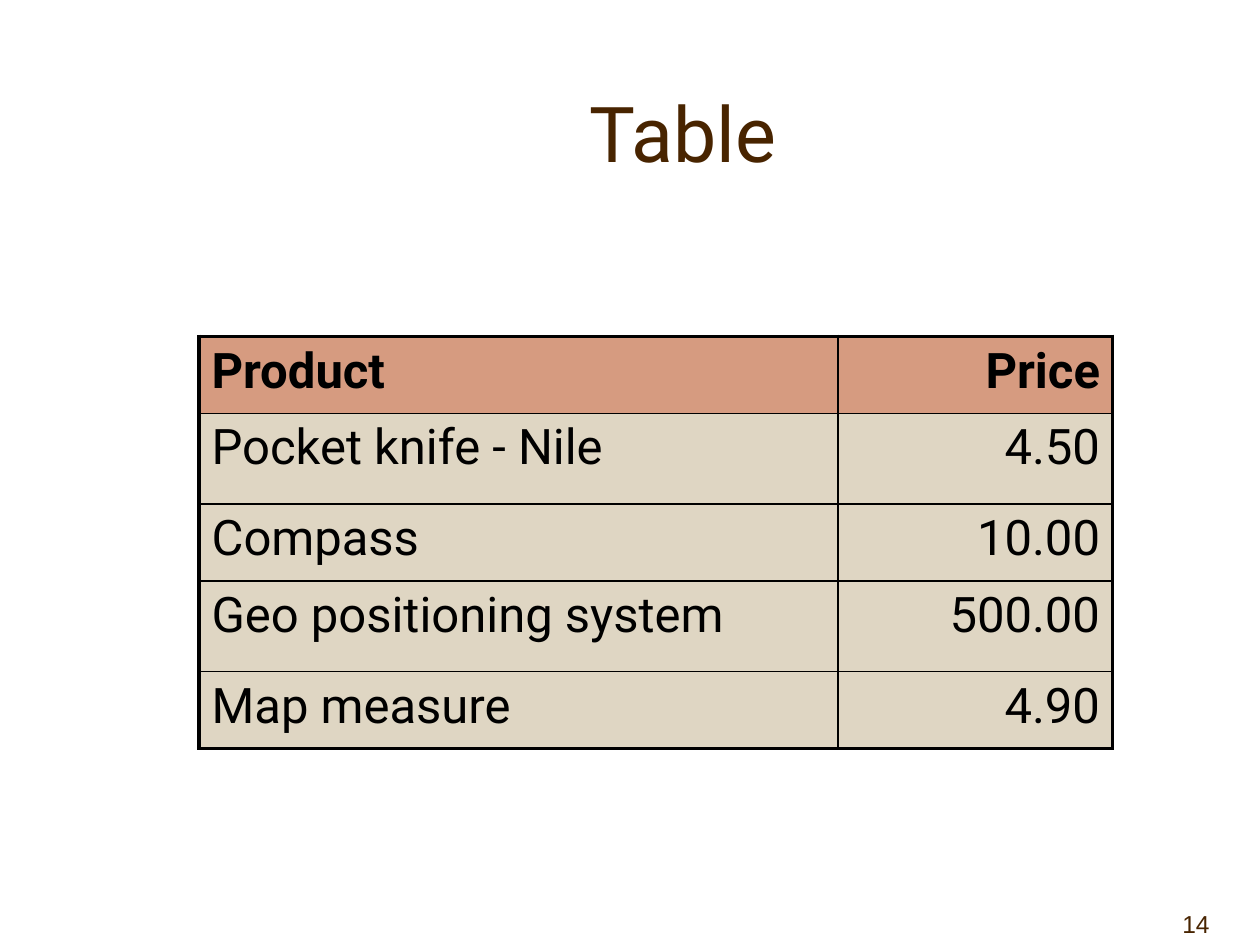
from pptx import Presentation
from pptx.dml.color import RGBColor
from pptx.enum.text import MSO_ANCHOR, PP_ALIGN
from pptx.oxml.ns import qn
from pptx.util import Inches, Pt
from lxml.etree import SubElement

COLORS = {
    "brown": "482400",
    "black": "000000",
    "header": "D69B80",
    "body": "DFD6C3",
}
PRODUCTS = [
    ("Product", "Price"),
    ("Pocket knife - Nile", "4.50"),
    ("Compass", "10.00"),
    ("Geo positioning system", "500.00"),
    ("Map measure", "4.90"),
]
COLUMN_WIDTHS = [5.07, 2.18]
ROW_HEIGHTS = [0.61, 0.72, 0.61, 0.72, 0.61]
THIN, THICK = 1, 2.25


def color(name):
    """Return the named palette colour."""
    return RGBColor.from_string(COLORS[name])


def write(tf, text, size, font, color_name, align, bold=False):
    """Put one formatted run in the first paragraph of a text frame."""
    p = tf.paragraphs[0]
    p.alignment = align
    r = p.add_run()
    r.text = text
    r.font.size = Pt(size)
    r.font.name = font
    r.font.bold = bold
    r.font.color.rgb = color(color_name)


def set_borders(cell, widths):
    """Draw the cell borders, given widths in points by side."""
    tcPr = cell._tc.get_or_add_tcPr()
    for side, width in widths.items():
        line = SubElement(tcPr, qn(f"a:ln{side}"), w=str(Pt(width)))
        fill = SubElement(line, qn("a:solidFill"))
        SubElement(fill, qn("a:srgbClr"), val=COLORS["black"])


def add_title(s, left, top, width, height):
    """Place and format the slide title."""
    sp = s.shapes.title
    sp.left, sp.top, sp.width, sp.height = map(Inches, (left, top, width, height))
    tf = sp.text_frame
    tf.word_wrap = True
    tf.vertical_anchor = MSO_ANCHOR.MIDDLE
    write(tf, "Table", 44, "Roboto", "brown", PP_ALIGN.CENTER)


def add_price_table(s, left, top, width, height):
    """Build the product price table with a heavy outer frame."""
    rows, cols = len(PRODUCTS), len(COLUMN_WIDTHS)
    box = map(Inches, (left, top, width, height))
    table = s.shapes.add_table(rows, cols, *box).table
    table.horz_banding = False
    for column, column_width in zip(table.columns, COLUMN_WIDTHS):
        column.width = Inches(column_width)
    for row, row_height in zip(table.rows, ROW_HEIGHTS):
        row.height = Inches(row_height)
    for i, values in enumerate(PRODUCTS):
        for j, text in enumerate(values):
            cell = table.cell(i, j)
            set_borders(cell, {
                "L": THICK if j == 0 else THIN,
                "R": THICK if j == cols - 1 else THIN,
                "T": THICK if i == 0 else THIN,
                "B": THICK if i == rows - 1 else THIN,
            })
            cell.fill.solid()
            cell.fill.fore_color.rgb = color("body" if i else "header")
            align = PP_ALIGN.RIGHT if j else PP_ALIGN.LEFT
            write(cell.text_frame, text, 28, "Roboto", "black", align, i == 0)


def add_slide_number(s, left, top, width, height):
    """Place the slide number in the bottom right corner."""
    sp = s.shapes.add_textbox(*map(Inches, (left, top, width, height)))
    tf = sp.text_frame
    tf.word_wrap = True
    tf.margin_right = Inches(0.4)
    tf.vertical_anchor = MSO_ANCHOR.BOTTOM
    write(tf, "14", 14, "Arial", "brown", PP_ALIGN.RIGHT)


def main():
    """Build and save the slide."""
    prs = Presentation()
    prs.slide_width, prs.slide_height = Inches(10), Inches(7.5)
    s = prs.slides.add_slide(prs.slide_layouts[5])
    add_slide_number(s, 9, 7, 1, 0.5)
    add_title(s, 1.17, 0.42, 8.5, 1.25)
    add_price_table(s, 1.58, 2.67, 7.25, 3.27)
    prs.save("out.pptx")


if __name__ == "__main__":
    main()
